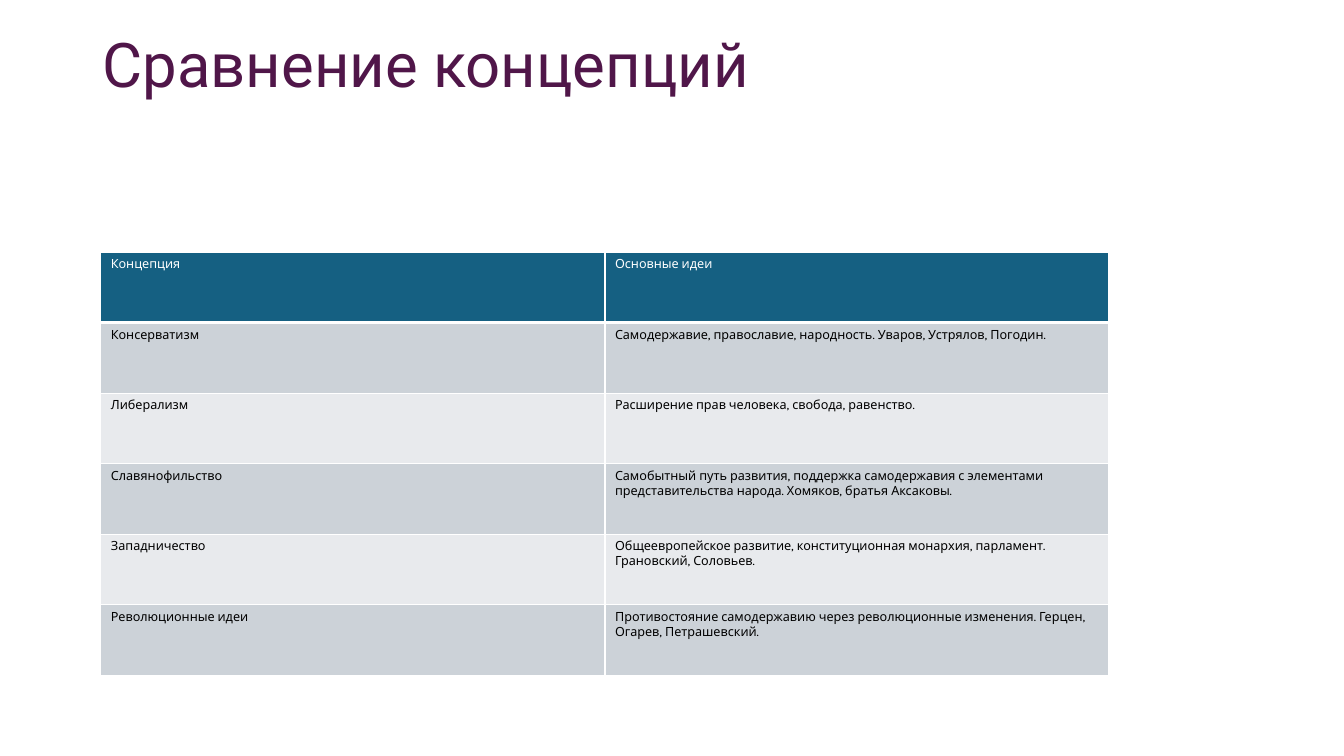
from lxml.etree import SubElement as Sub
from pptx import Presentation
from pptx.dml.color import RGBColor as RGB
from pptx.enum.text import MSO_ANCHOR as Anchor
from pptx.oxml.ns import qn
from pptx.util import Pt

SCALE = 9144
PLUM = RGB(0x50, 0x16, 0x49)
TEAL = RGB(0x15, 0x60, 0x82)
GREY = RGB(0xCC, 0xD2, 0xD8)
PALE = RGB(0xE8, 0xEA, 0xED)
WHITE = RGB(0xFF, 0xFF, 0xFF)
BLACK = RGB(0x00, 0x00, 0x00)

ROWS = [
    ("Концепция", "Основные идеи"),
    ("Консерватизм",
     "Самодержавие, православие, народность. Уваров, Устрялов, Погодин."),
    ("Либерализм", "Расширение прав человека, свобода, равенство."),
    ("Славянофильство",
     "Самобытный путь развития, поддержка самодержавия с элементами "
     "представительства народа. Хомяков, братья Аксаковы."),
    ("Западничество",
     "Общеевропейское развитие, конституционная монархия, парламент. "
     "Грановский, Соловьев."),
    ("Революционные идеи",
     "Противостояние самодержавию через революционные изменения. "
     "Герцен, Огарев, Петрашевский."),
]


def px(*nums):
    return [num * SCALE for num in nums]


def add_run(para, text, face, size, color):
    run = para.add_run()
    run.text = text
    font = run.font
    font.name, font.size, font.bold = face, Pt(size), False
    font.color.rgb = color


def add_title(slide, text):
    frame = slide.shapes.add_textbox(*px(92, 22, 1150, 90)).text_frame
    frame.word_wrap = True
    frame.vertical_anchor = Anchor.MIDDLE
    para = frame.paragraphs[0]
    para.line_spacing = 0.9
    add_run(para, text, "Roboto", 44, PLUM)


def add_edges(cell, base):
    props = cell._tc.get_or_add_tcPr()
    for side, width in (("L", 1), ("R", 1), ("T", 1), ("B", base)):
        line = Sub(props, qn("a:ln" + side), w=str(Pt(width)))
        fill = Sub(line, qn("a:solidFill"))
        Sub(fill, qn("a:srgbClr"), val=str(WHITE))


def fill_cell(cell, text, back, ink, base):
    add_edges(cell, base)
    cell.fill.solid()
    cell.fill.fore_color.rgb = back
    add_run(cell.text_frame.paragraphs[0], text, "Karla", 9, ink)


def add_grid(slide, rows):
    frame = slide.shapes.add_table(
        len(rows), len(rows[0]), *px(100, 250, 1000, 70 * len(rows)))
    grid = frame.table
    grid.first_row = grid.horz_banding = False
    for r, texts in enumerate(rows):
        if r == 0:
            style = TEAL, WHITE, 3
        else:
            style = (GREY if r % 2 else PALE), BLACK, 1
        for c, text in enumerate(texts):
            fill_cell(grid.cell(r, c), text, *style)


def main():
    deck = Presentation()
    deck.slide_width, deck.slide_height = px(1333, 750)
    slide = deck.slides.add_slide(deck.slide_layouts[6])
    add_title(slide, "Сравнение концепций")
    add_grid(slide, ROWS)
    deck.save("out.pptx")


if __name__ == "__main__":
    main()
